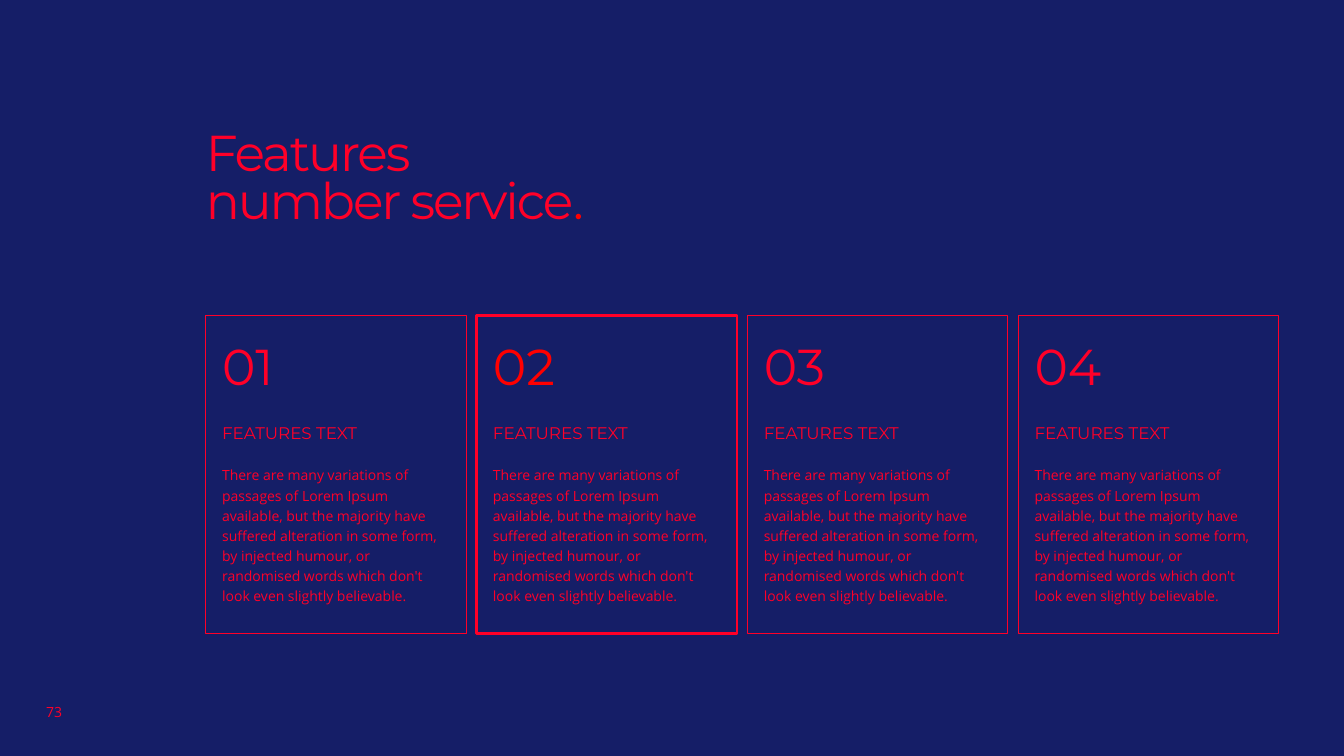
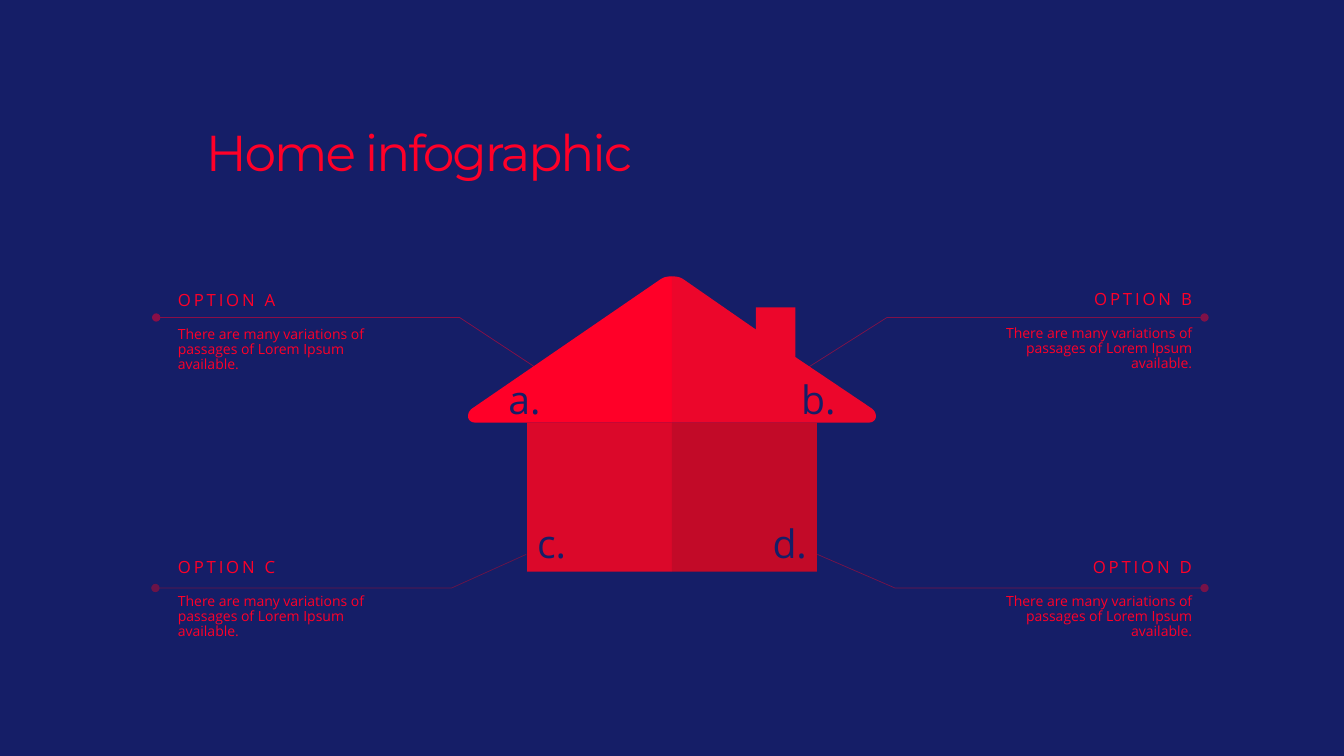
from dataclasses import dataclass
from typing import Any, NamedTuple

from lxml import etree
from pptx import Presentation
from pptx import util as u
from pptx.dml import color
from pptx.enum import shapes, text
from pptx.oxml import ns

COLUMNS, ROWS = 160, 90
CELL = u.Inches(7.5) // ROWS
COLORS = {
    "navy": "151E67",
    "red": "FF0028",
    "pure": "FF0000",
    "scarlet": "EC062B",
    "crimson": "DB082A",
    "dark": "C20A28",
}
HEADING, BODY = "Montserrat", "Open Sans"
LEFT, RIGHT, CENTER = text.PP_ALIGN.LEFT, text.PP_ALIGN.RIGHT, text.PP_ALIGN.CENTER
CARD_TEXT = (
    "There are many variations of passages of Lorem Ipsum available, but the majority "
    "have suffered alteration in some form, by injected humour, or randomised words "
    "which don't look even slightly believable."
)
OPTION_TEXT = "There are many variations of passages of Lorem Ipsum available."
AXIS, EAVE, WALL_WIDTH, WALL_HEIGHT = 80, 50.3, 17.25, 17.75


class Point(NamedTuple):
    x: float
    y: float


class Box(NamedTuple):
    left: float
    top: float
    width: float
    height: float


class Insets(NamedTuple):
    left: float = 0
    top: float = 0.6
    right: float = 0
    bottom: float = 0.6


@dataclass(frozen=True)
class Run:
    words: str
    size: float
    font: str = BODY
    color: str = "red"
    tracking: float = 0


@dataclass(frozen=True)
class Line:
    runs: tuple[Run, ...]
    spacing: float = 1.0
    align: Any = LEFT
    before: float = 0


@dataclass(frozen=True)
class Card:
    number: str
    number_color: str = "red"
    border: float = 0.5


@dataclass(frozen=True)
class Callout:
    name: str
    route: tuple[Point, Point, Point]
    label: Point
    color: str
    align: Any


CARDS = (Card("01"), Card("02", "pure", 2), Card("03"), Card("04"))
CALLOUTS = (
    Callout("A", (Point(63.84, 43.8), Point(54.72, 37.8), Point(18.6, 37.8)),
            Point(19.68, 34.2), "red", LEFT),
    Callout("B", (Point(96.12, 43.8), Point(105.6, 37.8), Point(143.4, 37.8)),
            Point(113.52, 34.1), "scarlet", RIGHT),
    Callout("D", (Point(97.32, 66), Point(106.56, 70), Point(143.4, 70)),
            Point(113.52, 66), "crimson", RIGHT),
    Callout("C", (Point(62.64, 66), Point(53.76, 70), Point(18.5, 70)),
            Point(19.68, 66), "dark", LEFT),
)
CHIMNEY = [Point(10, 39.24), Point(10, 36.6), Point(14.68, 36.6), Point(14.68, 42.5)]


def cells(value: float) -> u.Emu:
    return u.Emu(round(value * CELL))


def rgb(name: str) -> color.RGBColor:
    return color.RGBColor.from_string(COLORS[name])


def apply(target: Any, values: dict[str, Any]) -> None:
    for name, value in values.items():
        setattr(target, name, value)


def write(shape: Any, lines: list[Line], insets: Insets,
          anchor: Any = text.MSO_ANCHOR.TOP) -> None:
    frame = shape.text_frame
    apply(frame, {"word_wrap": True, "vertical_anchor": anchor})
    apply(frame, {f"margin_{side}": cells(value) for side, value in insets._asdict().items()})
    for index, line in enumerate(lines):
        paragraph = frame.add_paragraph() if index else frame.paragraphs[0]
        apply(paragraph, {"alignment": line.align, "line_spacing": line.spacing,
                          "space_before": u.Pt(line.before)})
        for item in line.runs:
            for row, words in enumerate(item.words.split("\n")):
                if row:
                    paragraph.add_line_break()
                run = paragraph.add_run()
                run.text = words
                apply(run.font, {"size": u.Pt(item.size), "name": item.font})
                run.font.color.rgb = rgb(item.color)
                if item.tracking:
                    run._r.get_or_add_rPr().set("spc", str(round(item.tracking * 100)))


def add_text(slide: Any, box: Box, lines: list[Line], insets: Insets = Insets()) -> None:
    write(slide.shapes.add_textbox(*map(cells, box)), lines, insets)


def paint(shape: Any, fill: str | None = None, line: str | None = None,
          width: float = 0.5) -> None:
    shape.shadow.inherit = False
    if fill:
        shape.fill.solid()
        shape.fill.fore_color.rgb = rgb(fill)
    else:
        shape.fill.background()
    if line:
        shape.line.color.rgb = rgb(line)
        shape.line.width = u.Pt(width)
    else:
        shape.line.fill.background()


def add_rectangle(slide: Any, box: Box, **style: Any) -> Any:
    shape = slide.shapes.add_shape(shapes.MSO_SHAPE.RECTANGLE, *map(cells, box))
    paint(shape, **style)
    return shape


def add_outline(slide: Any, points: list[Point], close: bool, **style: Any) -> Any:
    corners = [(cells(point.x), cells(point.y)) for point in points]
    builder = slide.shapes.build_freeform(*corners[0], scale=1.0)
    builder.add_line_segments(corners[1:], close=close)
    shape = builder.convert_to_shape()
    paint(shape, **style)
    return shape


def curve(*controls: Point, steps: int = 8) -> list[Point]:
    points = []
    for step in range(steps + 1):
        t = step / steps
        weights = ((1 - t) ** 3, 3 * t * (1 - t) ** 2, 3 * t * t * (1 - t), t ** 3)
        points.append(Point(sum(w * p.x for w, p in zip(weights, controls)),
                            sum(w * p.y for w, p in zip(weights, controls))))
    return points


def roof_half(side: int, chimney: list[Point]) -> list[Point]:
    offsets = [
        Point(0, 32.9),
        *curve(Point(0.08, 32.9), Point(0.55, 32.9), Point(1, 33), Point(1.35, 33.24)),
        *chimney,
        *curve(Point(23.75, 48.6), Point(24.1, 48.84), Point(24.28, 49.2), Point(24.28, 49.56)),
        *curve(Point(24.28, 49.56), Point(24.28, 50), Point(23.9, EAVE), Point(23.5, EAVE)),
        Point(0, EAVE),
    ]
    return [Point(AXIS + side * point.x, point.y) for point in offsets]


def add_base(presentation: Any, *title: Run) -> Any:
    slide = presentation.slides.add_slide(presentation.slide_layouts[6])
    slide.background.fill.solid()
    slide.background.fill.fore_color.rgb = rgb("navy")
    add_text(slide, Box(24.5, 13.3, 55.4, 21.2), [Line(title, 0.8)], Insets(0, 2.5, 0, 0))
    return slide


def title_run(words: str, name: str = "red") -> Run:
    return Run(words, 36, HEADING, name, -1.5)


def add_card(slide: Any, card: Card, index: int) -> None:
    left = 24.5 + index * 32.24
    add_rectangle(slide, Box(left, 37.6, 31, 37.8), line="red", width=card.border)
    rows = (
        (54.6, 18.1, Line((Run(CARD_TEXT, 10),), 1.2)),
        (50.4, 3.1, Line((Run("FEATURES TEXT", 12, HEADING),), 0.7)),
        (41.3, 6.8, Line((Run(card.number, 36, HEADING, card.number_color),), 0.7)),
    )
    for top, height, line in rows:
        add_text(slide, Box(left + 1.95, top, 27.1, height), [line])


def add_letter(shape: Any, letter: str, align: Any, insets: Insets) -> None:
    write(shape, [Line((Run(letter, 28, color="navy"),), align=align)], insets,
          text.MSO_ANCHOR.BOTTOM)


def add_house(slide: Any) -> None:
    walls = (("c.", AXIS - WALL_WIDTH, "crimson", LEFT), ("d.", AXIS, "dark", RIGHT))
    for letter, left, fill, align in walls:
        wall = add_rectangle(slide, Box(left, EAVE, WALL_WIDTH, WALL_HEIGHT), fill=fill)
        add_letter(wall, letter, align, Insets(1.2, 0.6, 1.2, 0.6))
    roofs = (
        ("a.", -1, [], "red", LEFT, Insets(4.8, 0, 1.2, 0)),
        ("b.", 1, CHIMNEY, "scarlet", RIGHT, Insets(1.2, 0, 4.8, 0)),
    )
    for letter, side, chimney, fill, align, insets in roofs:
        roof = add_outline(slide, roof_half(side, chimney), True, fill=fill)
        add_letter(roof, letter, align, insets)


def add_callout(slide: Any, callout: Callout) -> None:
    route = add_outline(slide, list(callout.route), False, line=callout.color)
    outline = route.line._get_or_add_ln()
    tint = outline.find(".//" + ns.qn("a:srgbClr"))
    etree.SubElement(tint, ns.qn("a:alpha"), val="50000")
    etree.SubElement(outline, ns.qn("a:tailEnd"), type="oval")
    lines = [
        Line((Run(f"OPTION {callout.name}", 12, tracking=2),), 0.9, callout.align),
        Line((Run(OPTION_TEXT, 10),), 0.9, callout.align, 12),
    ]
    add_text(slide, Box(*callout.label, 29.9, 11.8), lines, Insets(1.5, 0.6, 1.5, 0.6))


def main() -> None:
    presentation = Presentation()
    apply(presentation, {"slide_width": cells(COLUMNS), "slide_height": cells(ROWS)})

    features = add_base(presentation, title_run("Features\nnumber service"),
                        title_run(".", "pure"))
    page_number = Line((Run("73", 10),), align=CENTER)
    add_text(features, Box(3.1, 83.2, 6.7, 3), [page_number], Insets(1.2, 0.6, 1.2, 0.6))
    for index, card in enumerate(CARDS):
        add_card(features, card, index)

    home = add_base(presentation, title_run("Home infographic"))
    add_house(home)
    for callout in CALLOUTS:
        add_callout(home, callout)

    presentation.save("out.pptx")


if __name__ == "__main__":
    main()
